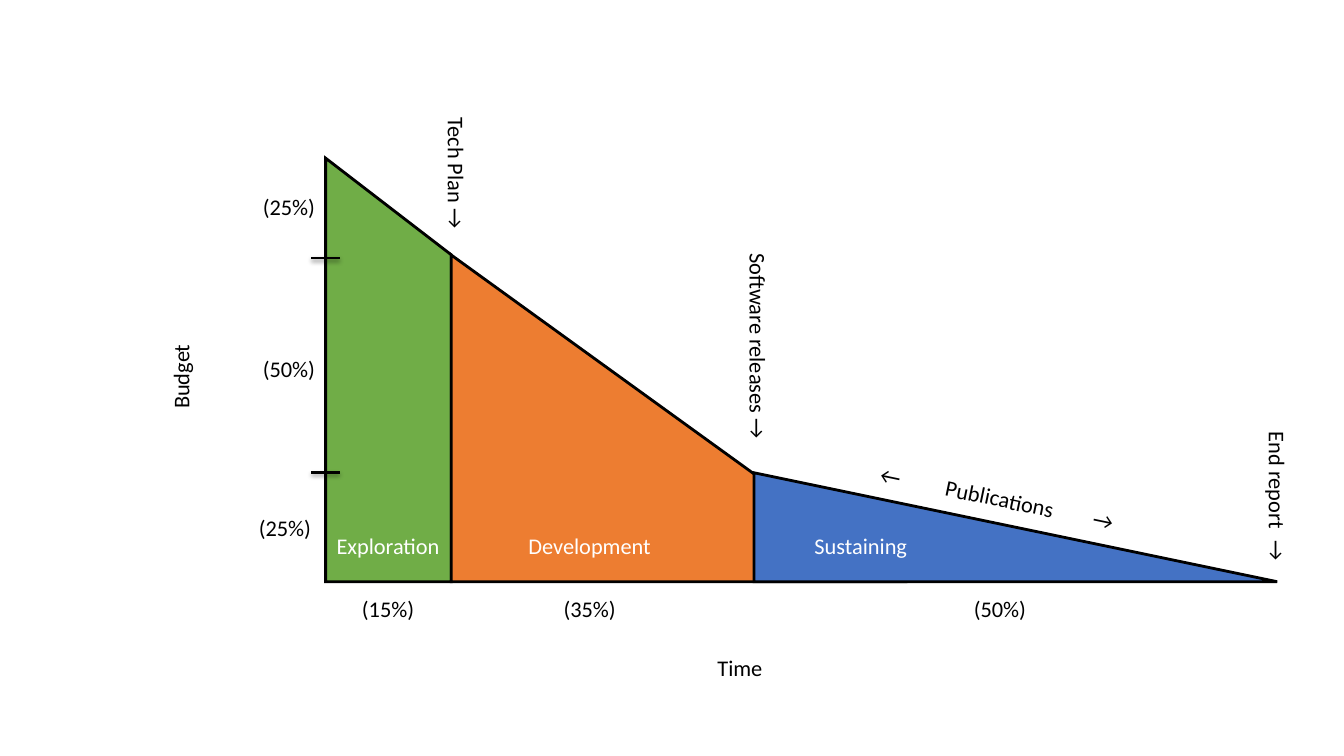
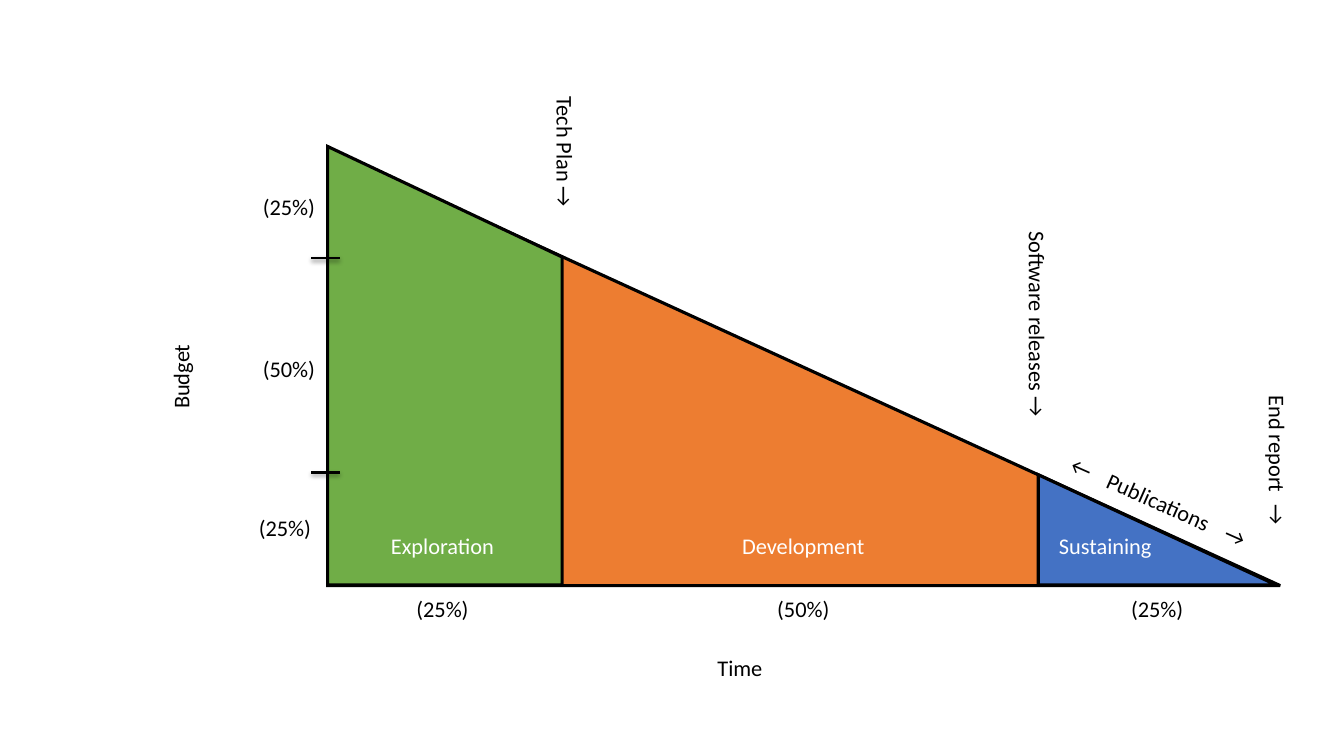
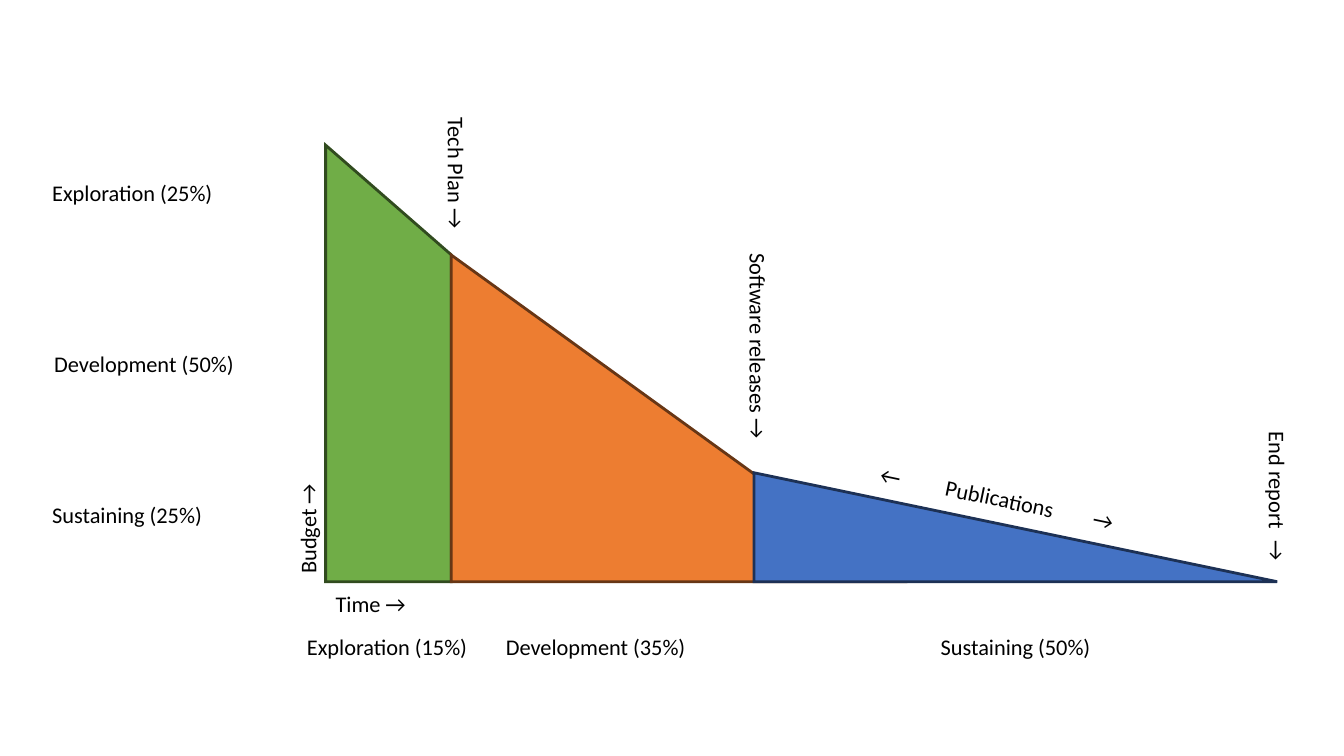
from lxml import etree
from pptx import Presentation
from pptx.dml.color import RGBColor
from pptx.enum import shapes, text
from pptx.oxml import ns
from pptx.util import Pt

BLACK = RGBColor(0x00, 0x00, 0x00)
WHITE = RGBColor(0xFF, 0xFF, 0xFF)
GREEN = RGBColor(0x70, 0xAD, 0x47)
ORANGE = RGBColor(0xED, 0x7D, 0x31)
BLUE = RGBColor(0x44, 0x72, 0xC4)
DARK_GREEN = RGBColor(0x31, 0x4B, 0x1F)
DARK_ORANGE = RGBColor(0x67, 0x36, 0x15)
DARK_BLUE = RGBColor(0x1D, 0x31, 0x55)

PHASES = ("Exploration", "Development", "Sustaining")
BUDGET_SHARES = ("(25%)", "(50%)", "(25%)")


class Deck:
    FONT = "Calibri"
    SIZE = 16
    LABEL_HEIGHT = 26.4
    LABEL_WIDTH = 150

    def __init__(self):
        self.prs = Presentation()
        self.prs.slide_width, self.prs.slide_height = Pt(960), Pt(540)
        self.slide = None

    def new_slide(self):
        self.slide = self.prs.slides.add_slide(self.prs.slide_layouts[6])

    def label(self, words, left, top, width=LABEL_WIDTH, color=BLACK,
              align=text.PP_ALIGN.LEFT, angle=0, tabs=()):
        sp = self.slide.shapes.add_textbox(
            Pt(left), Pt(top), Pt(width), Pt(self.LABEL_HEIGHT))
        sp.rotation = angle
        tf = sp.text_frame
        tf.word_wrap = True
        p = tf.paragraphs[0]
        p.alignment = align
        if tabs:
            stops = etree.SubElement(p._p.get_or_add_pPr(), ns.qn("a:tabLst"))
            for stop in tabs:
                etree.SubElement(stops, ns.qn("a:tab"),
                                 pos=str(Pt(stop)), algn="l")
        r = p.add_run()
        r.text = words
        r.font.name = self.FONT
        r.font.size = Pt(self.SIZE)
        r.font.color.rgb = color

    def centred(self, words, x, top, color=BLACK):
        self.label(words, x - self.LABEL_WIDTH / 2, top, color=color,
                   align=text.PP_ALIGN.CENTER)

    def turned(self, words, x, y, width, angle, tabs=()):
        """Label rotated about its centre (x, y)."""
        self.label(words, x - width / 2, y - self.LABEL_HEIGHT / 2, width,
                   angle=angle, tabs=tabs)

    def paint(self, sp, fill, line, weight):
        sp.shadow.inherit = False
        sp.fill.solid()
        sp.fill.fore_color.rgb = fill
        sp.line.color.rgb = line
        sp.line.width = Pt(weight)
        etree.SubElement(sp.line._get_or_add_ln(), ns.qn("a:miter"),
                         lim="800000")

    def wedge(self, left, top, right, base, fill, line, weight):
        """Right triangle that falls from top left to the base line."""
        sp = self.slide.shapes.add_shape(
            shapes.MSO_SHAPE.RIGHT_TRIANGLE,
            Pt(left), Pt(top), Pt(right - left), Pt(base - top))
        self.paint(sp, fill, line, weight)

    def trapezoid(self, left, top, right, right_top, base, fill, line, weight):
        corners = [(Pt(x), Pt(y)) for x, y in
                   ((left, top), (left, base), (right, base), (right, right_top))]
        outline = self.slide.shapes.build_freeform(*corners[0])
        outline.add_line_segments(corners[1:])
        self.paint(outline.convert_to_shape(), fill, line, weight)

    def tick(self, y):
        """Budget axis mark; it keeps the soft shadow of the theme."""
        cn = self.slide.shapes.add_connector(
            shapes.MSO_CONNECTOR.STRAIGHT, Pt(222.5), Pt(y), Pt(242.6), Pt(y))
        cn.line.color.rgb = BLACK
        cn.line.width = Pt(2)

    def milestones(self, plan, releases, report):
        """Vertical labels, each given the centre of its box."""
        self.turned("Tech Plan →", *plan, 99.4, 90)
        self.turned("Software releases →", *releases, 160.6, 90)
        self.turned("End report\t→", *report, 112, 90, tabs=(77.5,))

    def publications(self, x, y, angle, tabs):
        self.turned("←\tPublications\t→", x, y, 186.5, angle, tabs)

    def axes(self):
        self.turned("Budget", 128.9, 249.5, 99.4, 270)
        self.label("Time", 505.4, 463.7)
        for share, x, y in zip(BUDGET_SHARES, (180.7, 180.7, 177.8),
                               (134.6, 249.8, 363.6)):
            self.label(share, x, y, 58)
        for y in (184.3, 337.7):
            self.tick(y)

    def phase_names(self, centres):
        for name, x in zip(PHASES, centres):
            self.centred(name, x, 376.6, WHITE)

    def time_shares(self, shares, centres, top=421.2):
        for share, x in zip(shares, centres):
            self.centred(share, x, top)

    def early_plan(self, top, lines):
        """Phases that end at 15%, 50% and 100% of the time."""
        base = 415.5
        self.trapezoid(232.6, top, 322.3, 182, base, GREEN, lines[0], 2)
        self.wedge(322.4, 182.2, 645.1, base, ORANGE, lines[1], 2)
        self.wedge(538.6, 337.7, 912.3, base, BLUE, lines[2], 2)
        self.milestones((326.2, 126.7), (541.8, 254.2), (912.6, 357.3))
        self.publications(713.6, 355.8, 11.8, (47.5, 155))

    def linear_plan(self):
        """Phases that end at 25%, 75% and 100% of the time."""
        base = 417.8
        self.wedge(234, 106.6, 914.4, 418.3, ORANGE, BLACK, 2.25)
        self.trapezoid(234, 104.6, 401.5, 183.6, base, GREEN, BLACK, 2.25)
        self.wedge(741.6, 339.1, 911.5, base, BLUE, BLACK, 2.25)
        self.milestones((403.9, 111.6), (741.2, 238.3), (912.6, 331.4))
        self.publications(845, 365.8, 24, (28, 120))


def main():
    deck = Deck()

    deck.new_slide()
    deck.early_plan(113, (BLACK,) * 3)
    deck.axes()
    deck.phase_names((277.2, 421.2, 614.9))
    deck.time_shares(("(15%)", "(35%)", "(50%)"), (277.2, 421.2, 714.2))

    deck.new_slide()
    deck.linear_plan()
    deck.axes()
    deck.phase_names((316.1, 573.8, 789.5))
    deck.time_shares(("(25%)", "(50%)", "(25%)"), (316.1, 573.8, 826.6))

    deck.new_slide()
    deck.early_plan(103.7, (DARK_GREEN, DARK_ORANGE, DARK_BLUE))
    deck.turned("Budget →", 219.6, 367.2, 99.4, 270)
    deck.label("Time →", 232.6, 418.3)
    for phase, share, x, y in zip(PHASES, BUDGET_SHARES, (30.2, 31.7, 30.2),
                                  (124.6, 246.2, 354.2)):
        deck.label(f"{phase} {share}", x, y, 174)
    deck.time_shares(
        ("Exploration (15%)", "Development (35%)", "Sustaining (50%)"),
        (276.5, 425.5, 725.4), 448.6)

    deck.prs.save("out.pptx")


if __name__ == "__main__":
    main()
